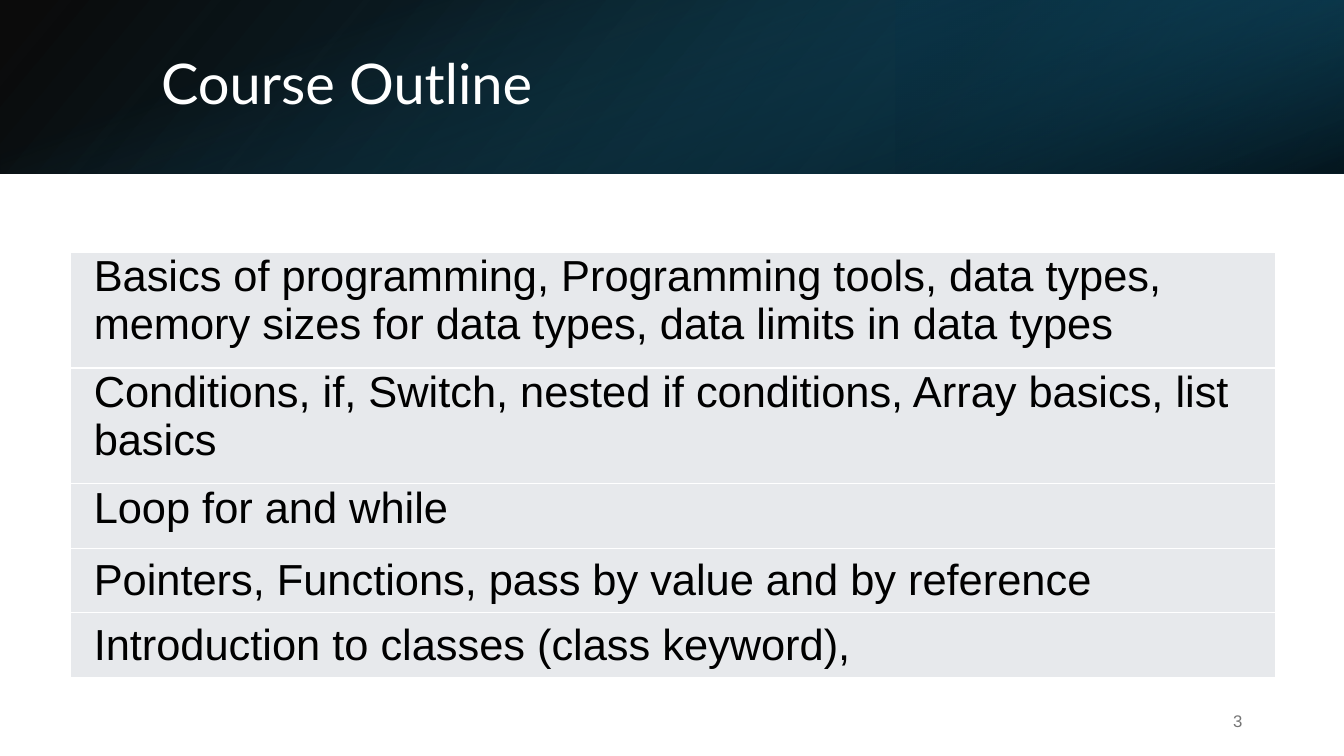
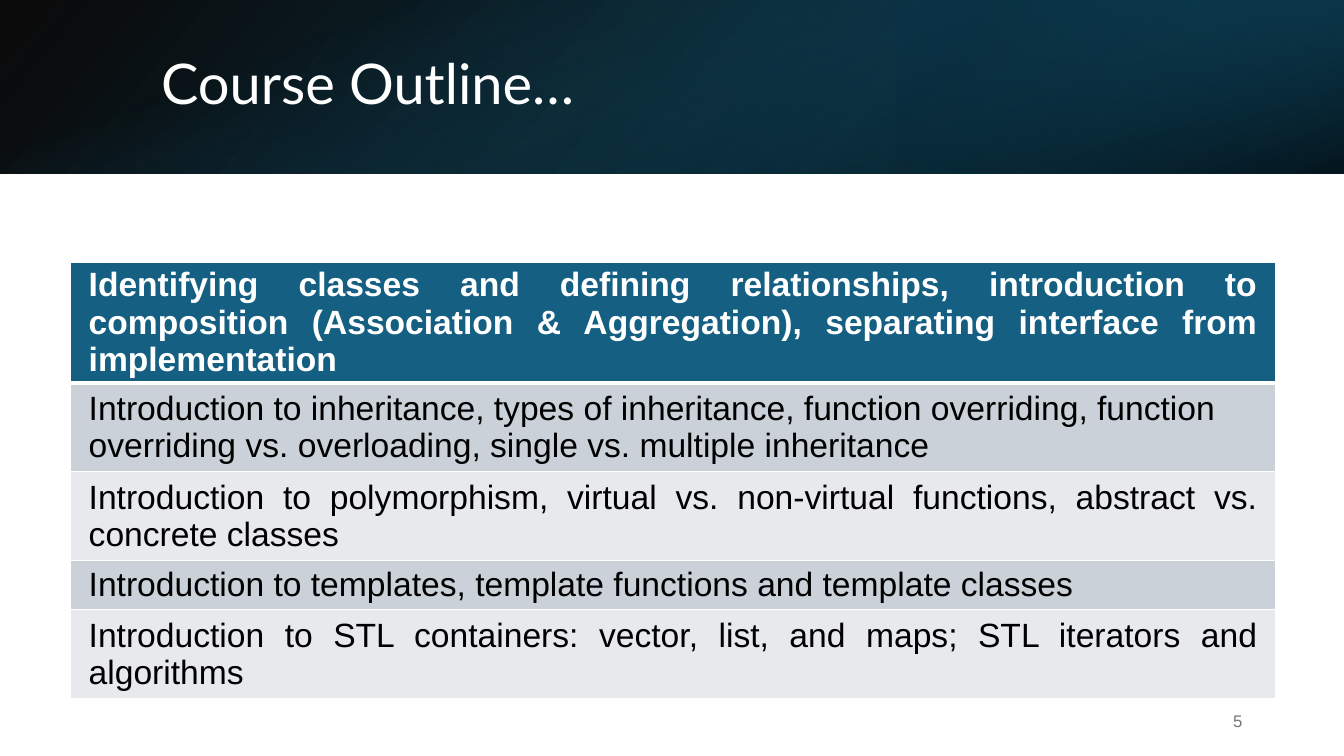
import dataclasses

import pptx
import pptx.dml.color
import pptx.enum.shapes
import pptx.enum.text
import pptx.oxml
import pptx.oxml.ns
import pptx.util

Inches = pptx.util.Inches
Pt = pptx.util.Pt
qn = pptx.oxml.ns.qn
ALIGN = pptx.enum.text.PP_ALIGN
ANCHOR = pptx.enum.text.MSO_ANCHOR


@dataclasses.dataclass(frozen=True)
class Theme:
    width: float = 13.33
    height: float = 7.5
    band_height: float = 1.72
    title_font: str = "Lato"
    body_font: str = "Arial"
    title_size: int = 40
    number_size: int = 12
    white: str = "FFFFFF"
    black: str = "000000"
    gray: str = "757575"
    teal: str = "156082"
    deep_teal: str = "0F4861"
    navy: str = "0A3041"
    light_row: str = "E7E9EC"
    dark_row: str = "CAD1D8"


THEME = Theme()


@dataclasses.dataclass(frozen=True)
class Row:
    text: str
    height: float
    fill: str = THEME.light_row
    align: ALIGN = ALIGN.LEFT
    anchor: ANCHOR = ANCHOR.MIDDLE
    header: bool = False


def rgb(color):
    return pptx.dml.color.RGBColor.from_string(color)


def add_run(p, text, font, size, color, bold=False):
    r = p.add_run()
    r.text = text
    r.font.name = font
    r.font.size = Pt(size)
    r.font.color.rgb = rgb(color)
    r.font.bold = bold


def set_gradient(sp, stops, angle):
    stop_xml = "".join(
        f'<a:gs pos="{pos * 1000}"><a:srgbClr val="{color}">'
        f'<a:alpha val="{opacity * 1000}"/></a:srgbClr></a:gs>'
        for pos, color, opacity in stops
    )
    gradient = pptx.oxml.parse_xml(
        f'<a:gradFill {pptx.oxml.ns.nsdecls("a")} rotWithShape="1">'
        f'<a:gsLst>{stop_xml}</a:gsLst>'
        f'<a:lin ang="{angle * 60000}" scaled="0"/></a:gradFill>'
    )
    sp.fill.background()
    props = sp.element.spPr
    props.replace(props.find(qn("a:noFill")), gradient)


def add_gradient_box(s, box, stops, angle, rotation=0, flip=False):
    sp = s.shapes.add_shape(
        pptx.enum.shapes.MSO_SHAPE.RECTANGLE, *map(Inches, box)
    )
    sp.shadow.inherit = False
    sp.line.fill.background()
    sp.rotation = rotation
    if flip:
        sp.element.spPr.find(qn("a:xfrm")).set("flipH", "1")
    set_gradient(sp, stops, angle)


def add_band(s):
    w, h = THEME.width, THEME.band_height
    add_gradient_box(
        s, (0, 0, w, h),
        [(0, THEME.black, 96), (100, THEME.deep_teal, 100)],
        140, flip=True,
    )
    add_gradient_box(
        s, (w * 2 / 3, 0, w / 3, h),
        [(0, THEME.navy, 68), (19, THEME.navy, 68), (100, THEME.teal, 79)],
        320, rotation=180, flip=True,
    )
    add_gradient_box(
        s, ((w - h) / 2, (h - w) / 2, h, w),
        [(0, THEME.teal, 0), (23, THEME.teal, 0),
         (99, THEME.black, 74), (100, THEME.black, 74)],
        340, rotation=90,
    )


def add_text(s, box, text, font, size, color, align=ALIGN.LEFT, spacing=1.0):
    tf = s.shapes.add_textbox(*map(Inches, box)).text_frame
    tf.word_wrap = True
    tf.vertical_anchor = ANCHOR.MIDDLE
    p = tf.paragraphs[0]
    p.alignment = align
    p.line_spacing = spacing
    add_run(p, text, font, size, color)


def set_borders(cell, widths):
    props = cell._tc.get_or_add_tcPr()
    for i, (side, width) in enumerate(widths.items()):
        line = pptx.oxml.parse_xml(
            f'<a:ln{side} {pptx.oxml.ns.nsdecls("a")} w="{Pt(width)}">'
            f'<a:solidFill><a:srgbClr val="{THEME.white}"/></a:solidFill>'
            f'</a:ln{side}>'
        )
        props.insert(i, line)


def fill_cell(cell, row, size, margin, top_width):
    cell.fill.solid()
    cell.fill.fore_color.rgb = rgb(row.fill)
    cell.margin_left = cell.margin_right = Inches(margin)
    cell.margin_top = cell.margin_bottom = 0
    cell.vertical_anchor = row.anchor
    p = cell.text_frame.paragraphs[0]
    p.alignment = row.align
    color = THEME.white if row.header else THEME.black
    add_run(p, row.text, THEME.body_font, size, color, row.header)
    bottom = 3 if row.header else 1
    set_borders(cell, {"L": 1, "R": 1, "T": top_width, "B": bottom})
    return bottom


def add_topics(s, top, rows, size, margin):
    frame = s.shapes.add_table(
        len(rows), 1, Inches(0.7), Inches(top), Inches(11.95),
        Inches(sum(row.height for row in rows)),
    )
    table = frame.table
    table.first_row = table.horz_banding = False
    edge = 1
    for i, row in enumerate(rows):
        table.rows[i].height = Inches(row.height)
        edge = fill_cell(table.cell(i, 0), row, size, margin, edge)


def add_outline(prs, title, number, top, rows, size, margin):
    s = prs.slides.add_slide(prs.slide_layouts[6])
    add_band(s)
    add_text(s, (1.5, 0.38, 10.98, 0.96), title, THEME.title_font,
             THEME.title_size, THEME.white, spacing=0.9)
    add_topics(s, top, rows, size, margin)
    add_text(s, (9.42, 6.95, 3, 0.4), str(number), THEME.body_font,
             THEME.number_size, THEME.gray, ALIGN.RIGHT)


BASICS = [
    Row("Basics of programming, Programming tools, data types, memory sizes "
        "for data types, data limits in data types", 1.15, anchor=ANCHOR.TOP),
    Row("Conditions, if, Switch, nested if conditions, Array basics, "
        "list basics", 1.15, anchor=ANCHOR.TOP),
    Row("Loop for and while", 0.64, anchor=ANCHOR.TOP),
    Row("Pointers, Functions, pass by value and by reference", 0.64),
    Row("Introduction to classes (class keyword),", 0.64),
]

OBJECTS = [
    Row("Identifying classes and defining relationships, introduction to "
        "composition (Association & Aggregation), separating interface from "
        "implementation", 0.88, THEME.teal, ALIGN.JUSTIFY, header=True),
    Row("Introduction to inheritance, types of inheritance, function "
        "overriding, function overriding vs. overloading, single vs. "
        "multiple inheritance", 0.88, THEME.dark_row),
    Row("Introduction to polymorphism, virtual vs. non-virtual functions, "
        "abstract vs. concrete classes", 0.88, align=ALIGN.JUSTIFY),
    Row("Introduction to templates, template functions and template classes",
        0.49, THEME.dark_row, ALIGN.JUSTIFY),
    Row("Introduction to STL containers: vector, list, and maps; STL "
        "iterators and algorithms", 0.88, align=ALIGN.JUSTIFY),
]


def main():
    prs = pptx.Presentation()
    prs.slide_width = Inches(THEME.width)
    prs.slide_height = Inches(THEME.height)
    add_outline(prs, "Course Outline", 3, 2.5, BASICS, 31, 0.23)
    add_outline(prs, "Course Outline…", 5, 2.6, OBJECTS, 24, 0.18)
    prs.save("out.pptx")


if __name__ == "__main__":
    main()
